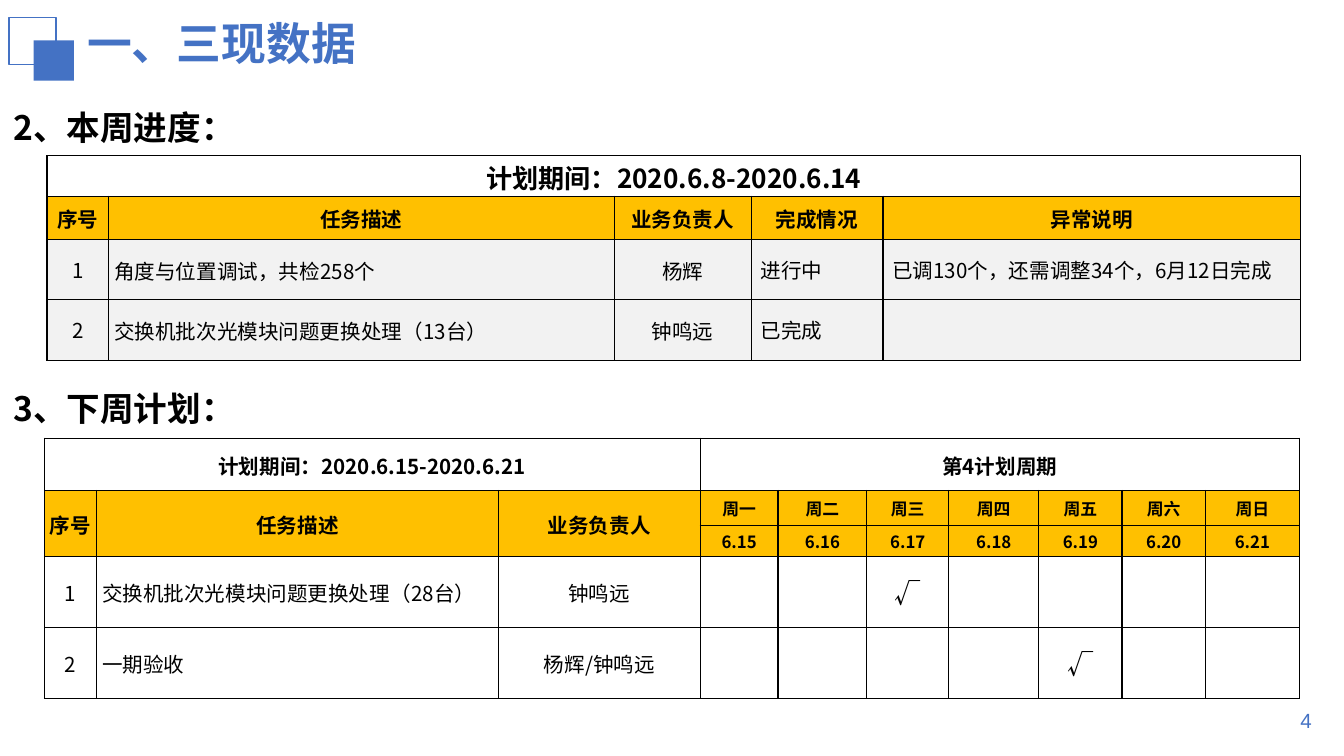
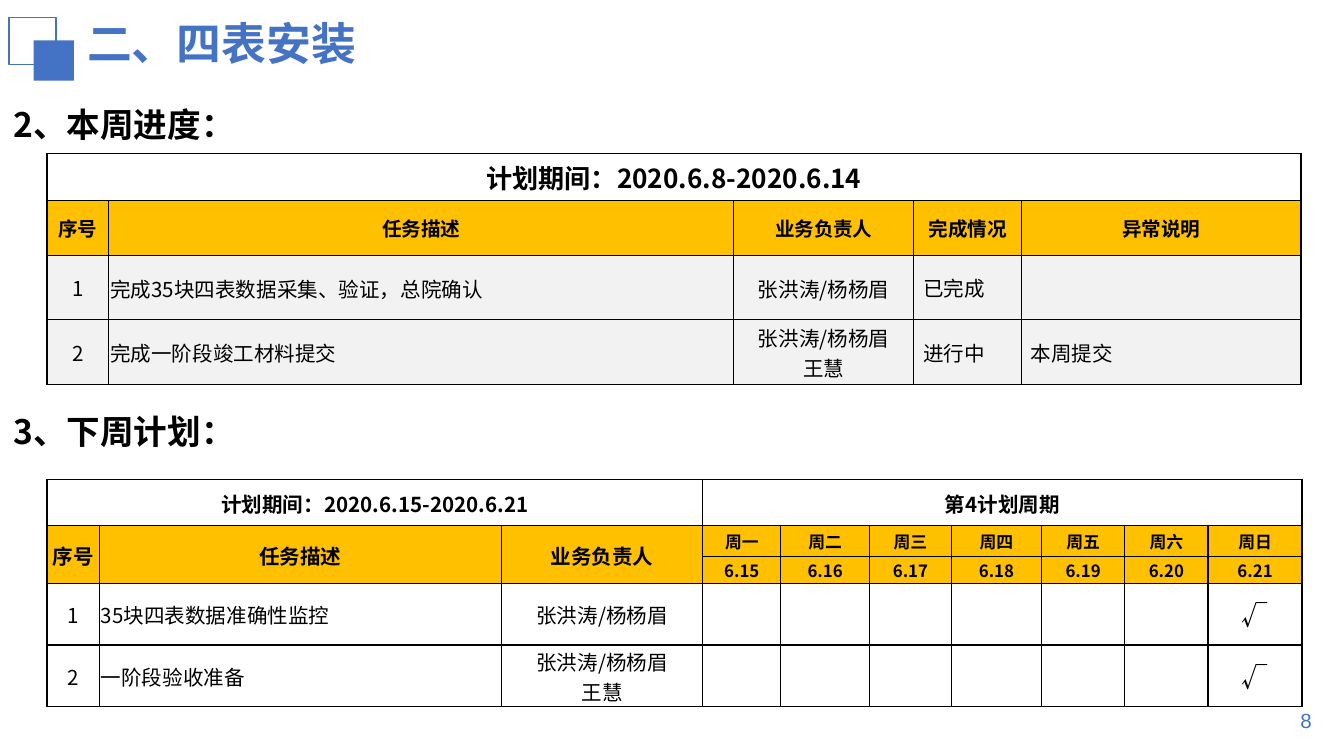
from lxml.etree import SubElement
from pptx import Presentation
from pptx.dml.color import RGBColor
from pptx.enum.shapes import MSO_SHAPE
from pptx.enum.text import MSO_ANCHOR, MSO_AUTO_SIZE, PP_ALIGN
from pptx.oxml.ns import qn
from pptx.util import Inches, Pt

# Shared look
FONT = "Noto Sans CJK SC"
BLUE, BLACK, WHITE = "4472C4", "000000", "FFFFFF"
AMBER, GREY = "FFC000", "F2F2F2"
TIGHT = (0.01, 0.01, 0.01, 0)
INDENTED = (0.04, 0.01, 0.01, 0)
ROOMY = (0.07, 0.04, 0.07, 0.04)
LEFT, CENTER, RIGHT = PP_ALIGN.LEFT, PP_ALIGN.CENTER, PP_ALIGN.RIGHT

# Shared table wording
TASK_HEADS = ["序号", "任务描述", "业务负责人"]
PROGRESS_HEADS = TASK_HEADS + ["完成情况", "异常说明"]
WEEKDAYS = ["周一", "周二", "周三", "周四", "周五", "周六", "周日"]
FIRST_DAY = 15
PLAN_COLUMNS = [0.39, 2.99, 1.5, 0.58, 0.66, 0.61, 0.67, 0.62, 0.62, 0.7]

PAGES = [
    {
        "title": "一、三现数据", "number": "4", "head_size": 11, "task_inset": INDENTED,
        "progress_heading": 0.59, "plan_heading": 2.68,
        "progress_at": (0.35, 1.16), "plan_at": (0.33, 3.26),
        "progress_columns": [0.46, 3.76, 1.02, 0.98, 3.11],
        "progress_rows": [0.3, 0.32, 0.45, 0.45],
        "plan_rows": [0.39, 0.26, 0.23, 0.53, 0.53],
        "progress": [
            ("角度与位置调试，共检258个", "杨辉", "进行中",
             "已调130个，还需调整34个，6月12日完成"),
            ("交换机批次光模块问题更换处理（13台）", "钟鸣远", "已完成", ""),
        ],
        "plan": [
            ("交换机批次光模块问题更换处理（28台）", "钟鸣远", "周三"),
            ("一期验收", "杨辉/钟鸣远", "周五"),
        ],
    },
    {
        "title": "二、四表安装", "number": "8", "head_size": 10.5, "task_inset": TIGHT,
        "progress_heading": 0.57, "plan_heading": 2.85,
        "progress_at": (0.35, 1.14), "plan_at": (0.35, 3.57),
        "progress_columns": [0.46, 4.65, 1.34, 0.8, 2.08],
        "progress_rows": [0.35, 0.41, 0.48, 0.48],
        "plan_rows": [0.34, 0.23, 0.2, 0.46, 0.46],
        "progress": [
            ("完成35块四表数据采集、验证，总院确认", "张洪涛/杨杨眉", "已完成", ""),
            ("完成一阶段竣工材料提交", "张洪涛/杨杨眉\n王慧", "进行中", "本周提交"),
        ],
        "plan": [
            ("35块四表数据准确性监控", "张洪涛/杨杨眉", "周日"),
            ("一阶段验收准备", "张洪涛/杨杨眉\n王慧", "周日"),
        ],
    },
]


def color(value):
    return RGBColor.from_string(value)


def write(frame, text, size, ink=BLACK, bold=False, align=LEFT, font=FONT, spacing=None):
    """Fill a text frame, one paragraph for each line of the text."""
    for index, line in enumerate(text.split("\n")):
        para = frame.add_paragraph() if index else frame.paragraphs[0]
        para.alignment = align
        if spacing:
            para.line_spacing = spacing
        span = para.add_run()
        span.text = line
        span.font.size = Pt(size)
        span.font.bold = bold
        span.font.color.rgb = color(ink)
        span.font.name = font
        SubElement(span.font._element, qn("a:ea"), typeface=font)


def add_text(page, box, text, size, anchor=MSO_ANCHOR.MIDDLE, grow=True, **style):
    frame = page.shapes.add_textbox(*map(Inches, box)).text_frame
    frame.word_wrap = True
    frame.vertical_anchor = anchor
    frame.auto_size = MSO_AUTO_SIZE.SHAPE_TO_FIT_TEXT if grow else MSO_AUTO_SIZE.NONE
    write(frame, text, size, **style)


# Title with its two squares, and the page number
def add_frame(page, title, number):
    add_text(page, (0.55, 0.07, 4.53, 0.5), title, 24, anchor=MSO_ANCHOR.TOP,
             ink=BLUE, bold=True)
    add_text(page, (7.53, 5.21, 2.33, 0.3), number, 11, grow=False,
             ink=BLUE, align=RIGHT, font="Arial")
    squares = page.shapes.add_group_shape()
    for left, top, side, filled in [(0.07, 0.13, 0.35, False), (0.25, 0.3, 0.3, True)]:
        square = squares.shapes.add_shape(
            MSO_SHAPE.RECTANGLE, *map(Inches, (left, top, side, side)))
        square.shadow.inherit = False
        if filled:
            square.fill.solid()
            square.fill.fore_color.rgb = color(BLUE)
            square.line.fill.background()
        else:
            square.fill.background()
            square.line.color.rgb = color(BLUE)
            square.line.width = Pt(1)


def add_heading(page, top, text):
    add_text(page, (0, top, 8.74, 0.56), text, 18, bold=True, spacing=1.5)


# Table grid with thin black borders
def add_grid(page, at, columns, rows):
    box = (*at, sum(columns), sum(rows))
    table = page.shapes.add_table(len(rows), len(columns), *map(Inches, box)).table
    table.first_row = table.horz_banding = False
    for column, width in zip(table.columns, columns):
        column.width = Inches(width)
    for row, height in zip(table.rows, rows):
        row.height = Inches(height)
    for cell in table.iter_cells():
        properties = cell._tc.get_or_add_tcPr()
        for side in ("lnL", "lnR", "lnT", "lnB"):
            line = SubElement(properties, qn(f"a:{side}"), w=str(Pt(0.75)))
            fill = SubElement(line, qn("a:solidFill"))
            SubElement(fill, qn("a:srgbClr"), val=BLACK)
        cell.fill.background()
    return table


def set_cell(cell, text, size=11, fill=None, inset=TIGHT, align=CENTER, bold=False):
    cell.margin_left, cell.margin_top, cell.margin_right, cell.margin_bottom = map(Inches, inset)
    cell.vertical_anchor = MSO_ANCHOR.MIDDLE
    if fill:
        cell.fill.solid()
        cell.fill.fore_color.rgb = color(fill)
    if text:
        write(cell.text_frame, text, size, bold=bold, align=align)


def set_task(table, row, number, task, owner, task_inset, fill=None):
    set_cell(table.cell(row, 0), str(number), fill=fill, inset=ROOMY)
    set_cell(table.cell(row, 1), task, fill=fill, inset=task_inset, align=LEFT)
    set_cell(table.cell(row, 2), owner, fill=fill)


# This week's progress
def add_progress(page, content):
    table = add_grid(page, content["progress_at"], content["progress_columns"],
                     content["progress_rows"])
    table.cell(0, 0).merge(table.cell(0, 4))
    set_cell(table.cell(0, 0), "计划期间：2020.6.8-2020.6.14", 14, WHITE, bold=True)
    for column, head in enumerate(PROGRESS_HEADS):
        set_cell(table.cell(1, column), head, content["head_size"], AMBER, bold=True)
    for number, (task, owner, *remarks) in enumerate(content["progress"], 1):
        set_task(table, number + 1, number, task, owner, content["task_inset"], GREY)
        for column, remark in enumerate(remarks, 3):
            set_cell(table.cell(number + 1, column), remark, fill=GREY, inset=ROOMY, align=LEFT)


# Next week's plan, with a tick under the due day
def add_plan(page, content):
    table = add_grid(page, content["plan_at"], PLAN_COLUMNS, content["plan_rows"])
    table.cell(0, 0).merge(table.cell(0, 2))
    table.cell(0, 3).merge(table.cell(0, 9))
    set_cell(table.cell(0, 0), "计划期间：2020.6.15-2020.6.21", fill=WHITE, bold=True)
    set_cell(table.cell(0, 3), "第4计划周期", fill=WHITE, bold=True)
    for column, head in enumerate(TASK_HEADS):
        table.cell(1, column).merge(table.cell(2, column))
        set_cell(table.cell(1, column), head, fill=AMBER, bold=True)
    for offset, weekday in enumerate(WEEKDAYS):
        set_cell(table.cell(1, 3 + offset), weekday, 9, AMBER, bold=True)
        set_cell(table.cell(2, 3 + offset), f"6.{FIRST_DAY + offset}", 9, AMBER, bold=True)
    for number, (task, owner, due) in enumerate(content["plan"], 1):
        set_task(table, number + 2, number, task, owner, content["task_inset"])
        set_cell(table.cell(number + 2, 3 + WEEKDAYS.index(due)), "√", 14, inset=ROOMY)


def add_report(deck, content):
    page = deck.slides.add_slide(deck.slide_layouts[6])
    add_frame(page, content["title"], content["number"])
    add_heading(page, content["progress_heading"], "2、本周进度：")
    add_progress(page, content)
    add_heading(page, content["plan_heading"], "3、下周计划：")
    add_plan(page, content)


def main():
    deck = Presentation()
    # Widescreen, 16 to 9
    deck.slide_width = Inches(10)
    deck.slide_height = Inches(10 * 9 / 16)
    for content in PAGES:
        add_report(deck, content)
    deck.save("out.pptx")


if __name__ == "__main__":
    main()
